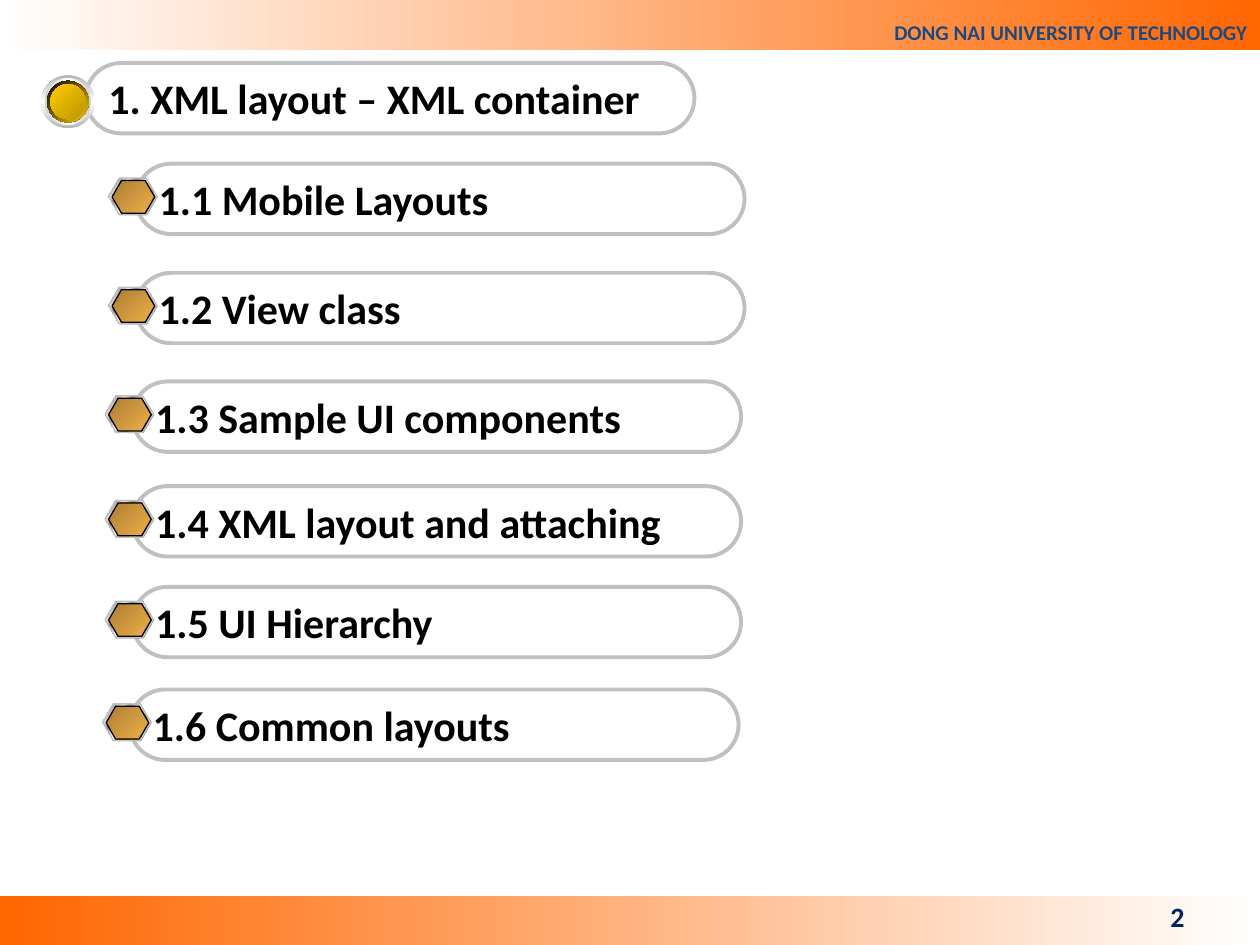
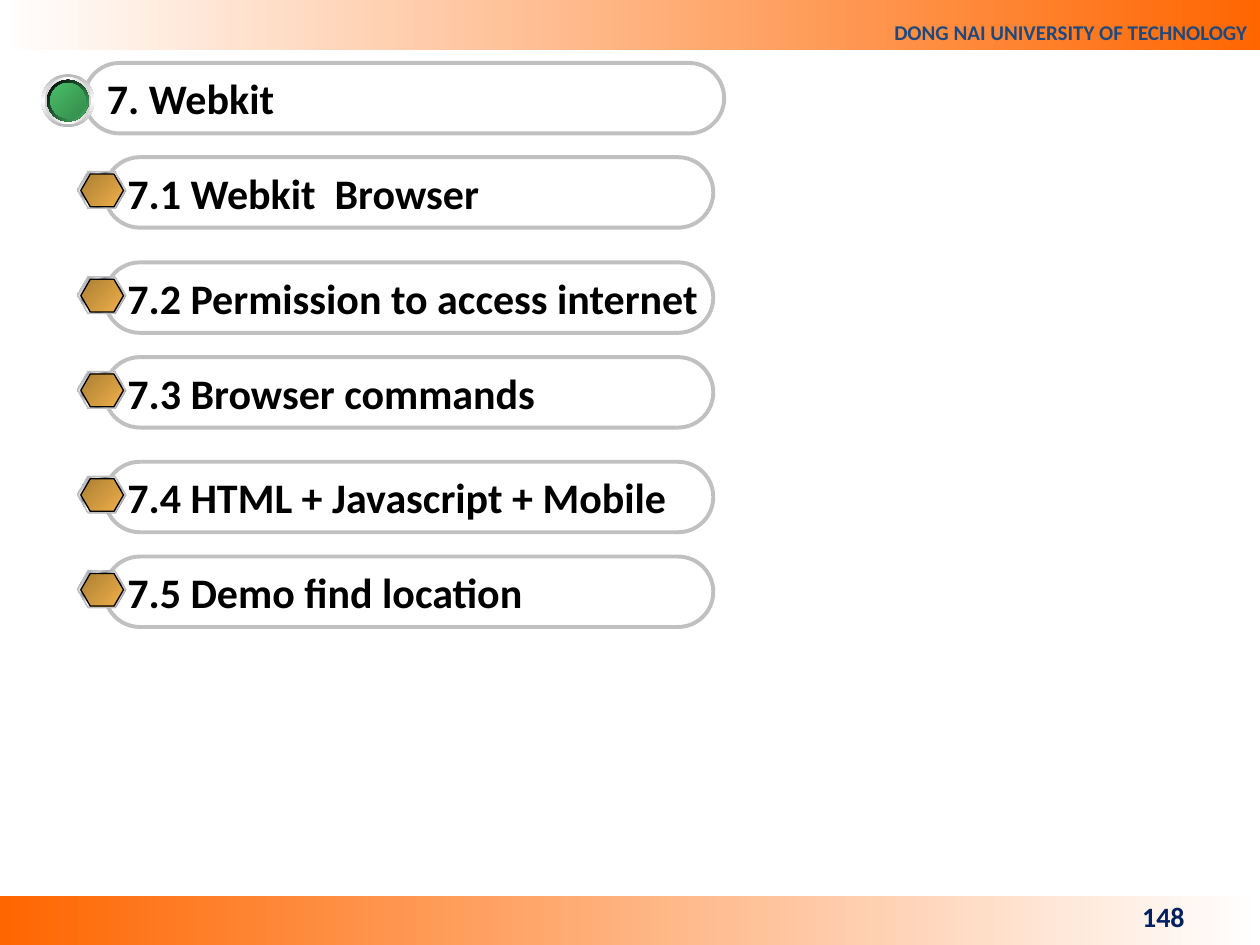
from lxml import etree
from pptx import Presentation, util as u
from pptx.dml.color import RGBColor
from pptx.enum import shapes, text
from pptx.oxml import ns

COLORS = {
    "white": "FFFFFF", "black": "000000", "orange": "FF6600",
    "school": "1F497D", "number": "002060", "outline": "C0C0C0",
    "shadow": "808080", "rim": "B6B6B6", "ring": "D1D1D1",
    "blue": "6699FF", "deep_blue": "4E75C3",
    "gold": "FFCC00", "dark_gold": "BA9500",
    "green": "48BE67", "dark_green": "358B4B",
    "bronze": "AB7E34", "light_bronze": "EFB049",
    "silver": "E6E6E6", "steel": "7D8496",
}
FONT = "Calibri"
PILL_W, PILL_H = 12.27, 1.42
METAL = [(0, "silver"), (7, "steel"), (26, "silver"), (34, "steel"),
         (46, "silver"), (50, "white"), (54, "silver"), (66, "steel"),
         (74, "silver"), (93, "steel"), (100, "silver")]
HEXAGON_LAYERS = [
    (-0.53, 0.3, 0.97, 0.74, dict(fill="shadow")),
    (-0.55, 0.29, 0.97, 0.74, dict(stops=METAL, angle=45, line="outline")),
    (-0.48, 0.34, 0.86, 0.66,
     dict(stops=[(0, "bronze"), (100, "light_bronze")], angle=45, line="black")),
]
OUTLINES = [
    dict(number="2", title="1. XML layout – XML container", title_left=1.73,
         title_width=PILL_W, ball_y=2.05, light="gold", dark="dark_gold",
         topics=[("1.1 Mobile Layouts", 2.74, 3.3),
                 ("1.2 View class", 2.74, 5.5),
                 ("1.3 Sample UI components", 2.67, 7.69),
                 ("1.4 XML layout and attaching", 2.67, 9.8),
                 ("1.5 UI Hierarchy", 2.67, 11.83),
                 ("1.6 Common layouts", 2.62, 13.9)]),
    dict(number="148", title="7. Webkit", title_left=1.7,
         title_width=12.9, ball_y=2.03, light="green", dark="dark_green",
         topics=[("7.1 Webkit  Browser", 2.11, 3.17),
                 ("7.2 Permission to access internet", 2.11, 5.29),
                 ("7.3 Browser commands", 2.11, 7.2),
                 ("7.4 HTML + Javascript + Mobile", 2.11, 9.31),
                 ("7.5 Demo find location", 2.11, 11.22)]),
]


def draw(slide, kind, left, top, width, height, fill=None, stops=None, angle=0,
         line=None, weight=0.75, adjust=None):
    shape = slide.shapes.add_shape(kind, *map(u.Cm, (left, top, width, height)))
    shape.shadow.inherit = False
    if adjust is not None:
        shape.adjustments[0] = adjust
    if stops:
        gradient = etree.Element(ns.qn("a:gradFill"), rotWithShape="1")
        stop_list = etree.SubElement(gradient, ns.qn("a:gsLst"))
        for position, color in stops:
            stop = etree.SubElement(stop_list, ns.qn("a:gs"), pos=str(position * 1000))
            etree.SubElement(stop, ns.qn("a:srgbClr"), val=COLORS[color])
        etree.SubElement(gradient, ns.qn("a:lin"), ang=str(angle * 60000), scaled="0")
        shape._element.spPr.find(ns.qn("a:prstGeom")).addnext(gradient)
    elif fill:
        shape.fill.solid()
        shape.fill.fore_color.rgb = RGBColor.from_string(COLORS[fill])
    else:
        shape.fill.background()
    if line:
        shape.line.color.rgb = RGBColor.from_string(COLORS[line])
        shape.line.width = u.Pt(weight)
    else:
        shape.line.fill.background()
    return shape


def write(shape, words, size=24, color="black", align=text.PP_ALIGN.LEFT,
          anchor=text.MSO_ANCHOR.MIDDLE, spacing=None, right=0.25):
    frame = shape.text_frame
    frame.word_wrap = True
    frame.vertical_anchor = anchor
    frame.margin_right = u.Cm(right)
    paragraph = frame.paragraphs[0]
    paragraph.alignment = align
    paragraph.line_spacing = spacing
    run = paragraph.add_run()
    run.text = words
    run.font.name = FONT
    run.font.size = u.Pt(size)
    run.font.bold = True
    run.font.color.rgb = RGBColor.from_string(COLORS[color])


deck = Presentation()
deck.slide_width, deck.slide_height = u.Cm(25.4), u.Cm(19.05)
kinds = shapes.MSO_SHAPE

for outline in OUTLINES:
    slide = deck.slides.add_slide(deck.slide_layouts[6])

    draw(slide, kinds.RECTANGLE, 0, 18.06, 25.4, 0.99,
         stops=[(0, "orange"), (100, "white")])
    header = draw(slide, kinds.RECTANGLE, 0, -0.15, 25.4, 1.17,
                  stops=[(0, "white"), (100, "orange")])
    write(header, "DONG NAI UNIVERSITY OF TECHNOLOGY", size=12, color="school",
          align=text.PP_ALIGN.RIGHT, anchor=text.MSO_ANCHOR.BOTTOM, spacing=1.8)
    page = slide.shapes.add_textbox(u.Cm(18.2), u.Cm(17.97), u.Cm(5.93), u.Cm(1.01))
    write(page, outline["number"], size=16, color="number", align=text.PP_ALIGN.RIGHT)

    title = draw(slide, kinds.ROUNDED_RECTANGLE, outline["title_left"], 1.27,
                 outline["title_width"], PILL_H, line="outline", weight=2.25, adjust=0.5)
    write(title, outline["title"], right=0)

    light, dark = outline["light"], outline["dark"]
    ball_layers = [
        (1.07, 90, ["rim", "white", "rim"]),
        (0.94, 0, ["ring", "white", "ring"]),
        (0.84, 45, ["white", "blue", "white"]),
        (0.84, 45, ["black", light]),
        (0.71, 315, ["deep_blue", "blue", "deep_blue"]),
        (0.71, 45, [light, dark]),
    ]
    for diameter, angle, blend in ball_layers:
        step = 100 // (len(blend) - 1)
        draw(slide, kinds.OVAL, 1.37 - diameter / 2, outline["ball_y"] - diameter / 2,
             diameter, diameter, angle=angle,
             stops=[(i * step, color) for i, color in enumerate(blend)])

    for words, left, top in outline["topics"]:
        topic = draw(slide, kinds.ROUNDED_RECTANGLE, left, top, PILL_W, PILL_H,
                     line="outline", weight=2.25, adjust=0.5)
        write(topic, words, right=0)
        for dx, dy, width, height, look in HEXAGON_LAYERS:
            draw(slide, kinds.HEXAGON, left + dx, top + dy, width, height,
                 adjust=0.29, **look)

deck.save("out.pptx")
